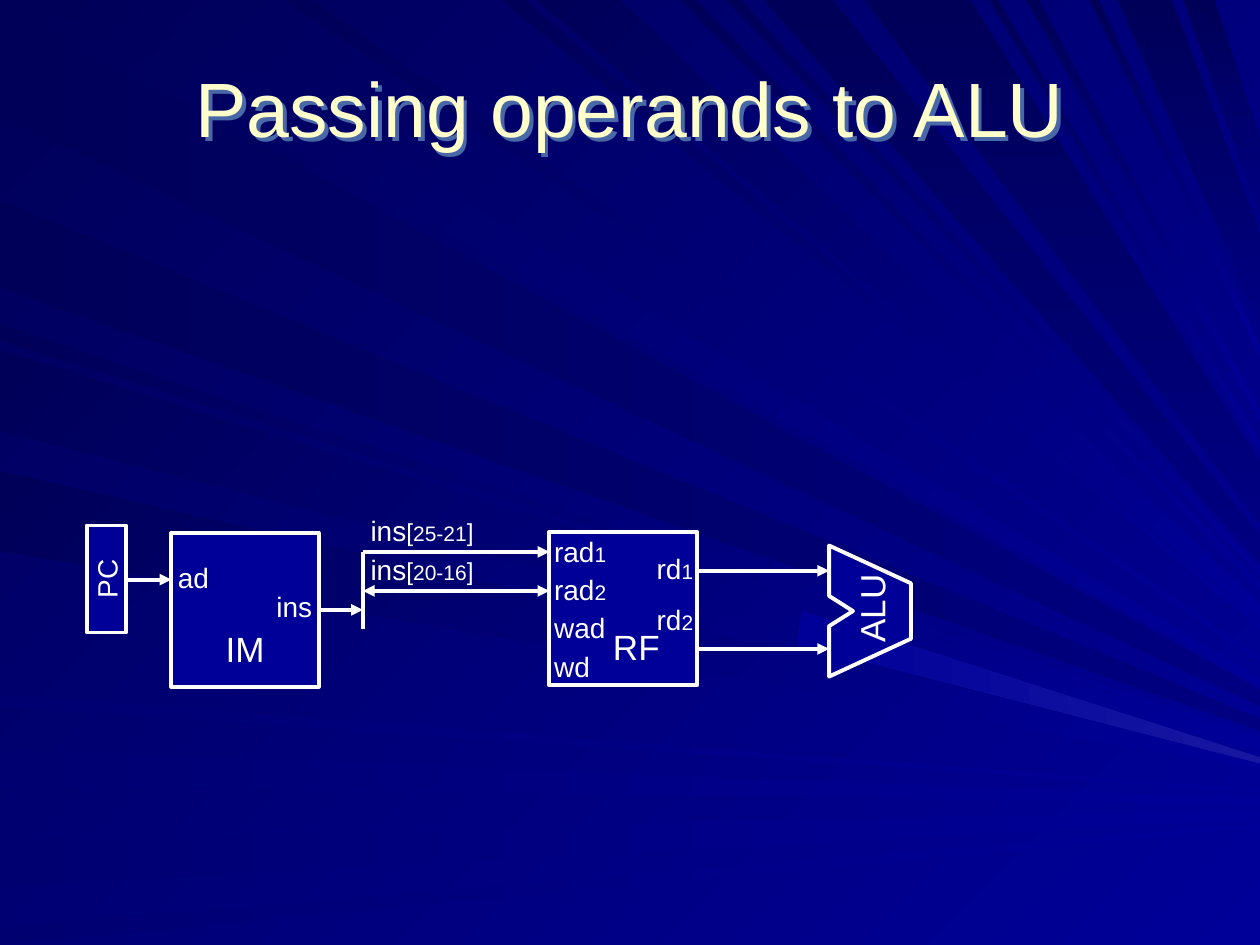
from lxml import etree
from pptx import Presentation
from pptx.dml.color import RGBColor
from pptx.enum.shapes import MSO_CONNECTOR, MSO_SHAPE
from pptx.enum.text import MSO_ANCHOR, PP_ALIGN
from pptx.oxml.ns import qn
from pptx.util import Inches, Pt

LEFT, CENTER, RIGHT = PP_ALIGN.LEFT, PP_ALIGN.CENTER, PP_ALIGN.RIGHT
TOP, MIDDLE, BOTTOM = MSO_ANCHOR.TOP, MSO_ANCHOR.MIDDLE, MSO_ANCHOR.BOTTOM
STRAIGHT, RECTANGLE = MSO_CONNECTOR.STRAIGHT, MSO_SHAPE.RECTANGLE
BOTTOM_SIDE, RIGHT_SIDE = 2, 3

WHITE = RGBColor(0xFF, 0xFF, 0xFF)
CREAM = RGBColor(0xFF, 0xFF, 0xCC)
BLUE = RGBColor(0x00, 0x00, 0x99)
NAVY = RGBColor(0x00, 0x00, 0x80)
DUSK = RGBColor(0x00, 0x00, 0x70)
NIGHT = RGBColor(0x00, 0x00, 0x58)
GLOW = RGBColor(0x17, 0x17, 0xA2)
TITLE_SHADOW = RGBColor(0x48, 0x68, 0xA8)
FONT = "Arial"
LINE_WIDTH = Pt(2.25)

SLIDE_WIDTH, SLIDE_HEIGHT = 10, 7.5
FOCUS_X, FOCUS_Y = 11.7, 6.4  # all background rays run towards this point
LEFTWARD, DIAGONAL, DOWNWARD = 180, 225, 90

# Rays as (from, to) along the left or the top edge of the slide
LEFT_NAVY_RAYS = [(0.02, 0.93), (1.59, 2.28)]
LEFT_BLUE_RAYS = [(2.58, 2.7), (2.78, 3.42), (3.74, 4.37)]
LOW_RAYS = [(5.52, 5.6), (5.96, 6.23), (6.65, 7.04), (7.35, 7.5)]
TOP_BLUE_RAYS = [(0.26, 1.01), (2.25, 2.47), (3.98, 4.16), (4.26, 4.92), (5.4, 5.52),
                 (5.77, 5.88), (7.85, 7.92), (8.15, 8.24), (8.65, 8.72)]
TOP_NAVY_RAYS = [(6.06, 6.61), (6.86, 7.7), (8.87, 9.3), (9.39, 9.64)]
GLOW_CORNERS = [(6.37, 4.85), (10, 6.01), (10, 6.06), (6.33, 5.11)]

BLOCK_SIZE = 1.17, 1.22
LABEL_HEIGHT = 0.37
RF_LEFT, RF_TOP = 4.36, 4.22
BUS_X = 2.88
ALU_LEFT, ALU_MIDDLE = 6.58, 4.85
ALU_HALF = [(0.65, 0.22), (0, 0.52), (0, 0.12)]  # offsets of the upper corners
ALU_NOTCH = 0.19
PORT_LEFT, PORT_TOP, PORT_STEP = 4.3, 4.19, 0.305


def set_gradient(fill, colours, angle):
    """Fill with two colours; the angle runs clockwise."""
    fill.gradient()
    fill.gradient_angle = 360 - angle
    for stop, colour in zip(fill.gradient_stops, colours):
        stop.color.rgb = colour


def set_outline(shape):
    shape.shadow.inherit = False
    shape.fill.solid()
    shape.fill.fore_color.rgb = BLUE
    shape.line.color.rgb = WHITE
    shape.line.width = LINE_WIDTH


def add_polygon(shapes, corners):
    points = [(Inches(x), Inches(y)) for x, y in corners]
    builder = shapes.build_freeform(*points[0])
    builder.add_line_segments(points[1:], close=True)
    return builder.convert_to_shape()


def ray_end(x, y):
    """Point where the line from an edge to the focus leaves the slide."""
    share = (SLIDE_WIDTH - x) / (FOCUS_X - x)
    return SLIDE_WIDTH, y + (FOCUS_Y - y) * share


def add_ray(shapes, corners, colours, angle):
    ray = add_polygon(shapes, corners)
    ray.shadow.inherit = False
    ray.line.fill.background()
    set_gradient(ray.fill, colours, angle)


def add_rays(slide):
    shapes = slide.shapes.add_group_shape().shapes
    families = [
        (LEFT_NAVY_RAYS, False, (NAVY, NIGHT), LEFTWARD),
        (LEFT_BLUE_RAYS, False, (BLUE, NIGHT), DIAGONAL),
        (LOW_RAYS, False, (BLUE, DUSK), LEFTWARD),
        (TOP_BLUE_RAYS, True, (BLUE, NIGHT), DIAGONAL),
        (TOP_NAVY_RAYS, True, (NIGHT, NAVY), DOWNWARD),
    ]
    for spans, from_top, colours, angle in families:
        for span in spans:
            first, last = [(place, 0) if from_top else (0, place) for place in span]
            add_ray(shapes, [first, last, ray_end(*last), ray_end(*first)], colours, angle)
    add_ray(shapes, GLOW_CORNERS, (GLOW, BLUE), LEFTWARD)


def write_text(shape, *runs, align=CENTER, anchor=TOP, colour=WHITE, wrap=True):
    """Write one paragraph from (text, size) runs."""
    frame = shape.text_frame
    frame.word_wrap = wrap
    frame.vertical_anchor = anchor
    paragraph = frame.paragraphs[0]
    paragraph.alignment = align
    for text, size in runs:
        run = paragraph.add_run()
        run.text = text
        run.font.name = FONT
        run.font.size = Pt(size)
        run.font.color.rgb = colour


def add_label(slide, left, top, width, *runs, height=LABEL_HEIGHT, rotation=0, **text_format):
    box = slide.shapes.add_textbox(*map(Inches, (left, top, width, height)))
    box.rotation = rotation
    write_text(box, *runs, **text_format)


def add_block(slide, left, top, width, height, name, size, rotation=0, anchor=MIDDLE):
    block = slide.shapes.add_shape(RECTANGLE, *map(Inches, (left, top, width, height)))
    block.rotation = rotation
    set_outline(block)
    write_text(block, (name, size), anchor=anchor, wrap=anchor == BOTTOM)
    return block


def add_wire(slide, start, end, heads=("tailEnd",), source=None):
    """Draw a line; source is the (shape, side) that it leaves from."""
    wire = slide.shapes.add_connector(STRAIGHT, *map(Inches, start + end))
    if source:
        wire.begin_connect(*source)
        wire.begin_x, wire.begin_y = map(Inches, start)
    wire.line.color.rgb = WHITE
    wire.line.width = LINE_WIDTH
    line = wire.line._get_or_add_ln()
    for head in heads:
        etree.SubElement(line, qn(f"a:{head}"), type="triangle")
    etree.SubElement(wire._element.spPr, qn("a:effectLst"))


def add_title(slide, text):
    title = slide.shapes.title
    title.left, title.top, title.width, title.height = map(Inches, (0.5, 0.32, 9, 1.06))
    write_text(title, (text, 44), anchor=MIDDLE, colour=CREAM)
    effects = etree.SubElement(title._element.spPr, qn("a:effectLst"))
    shadow = etree.SubElement(effects, qn("a:outerShdw"), dist=str(Pt(3.2)), dir="2700000")
    etree.SubElement(shadow, qn("a:srgbClr"), val=str(TITLE_SHADOW))
    title._element.getparent().append(title._element)  # in front of the rays


def add_alu(slide):
    upper = [(ALU_LEFT + x, ALU_MIDDLE - y) for x, y in ALU_HALF]
    lower = [(ALU_LEFT + x, ALU_MIDDLE + y) for x, y in reversed(ALU_HALF)]
    notch = (ALU_LEFT + ALU_NOTCH, ALU_MIDDLE)
    set_outline(add_polygon(slide.shapes, upper + [notch] + lower))
    add_label(slide, 6.39, 4.61, 1.06, ("ALU", 20), height=0.44, rotation=270)


def add_blocks(slide):
    counter = add_block(slide, 0.42, 4.44, 0.85, 0.31, "PC", 16, rotation=270)
    memory = add_block(slide, 1.36, 4.23, *BLOCK_SIZE, "IM", 20, anchor=BOTTOM)
    registers = add_block(slide, RF_LEFT, RF_TOP, *BLOCK_SIZE, "RF", 20, anchor=BOTTOM)
    for block in (memory, registers):
        block.text_frame.margin_bottom = Inches(0.14)
    registers.text_frame.margin_left = Inches(0.31)
    return counter, memory


def add_port_labels(slide):
    add_label(slide, 1.09, 4.4, 0.89, ("ad", 16))
    add_label(slide, 2.06, 4.63, 0.55, ("ins", 16))
    for row, (name, number) in enumerate([("rad", "1"), ("rad", "2"), ("wad", ""), ("wd", "")]):
        runs = [(name, 16)] + ([(number, 12)] if number else [])
        add_label(slide, PORT_LEFT, PORT_TOP + row * PORT_STEP, 0.82, *runs, align=LEFT)
    for number, top in (("1", 4.33), ("2", 4.73)):
        add_label(slide, 4.92, top, 0.68, ("rd", 16), (number, 12), align=RIGHT)


def add_wires(slide, counter, memory):
    add_wire(slide, (1, 4.6), (1.36, 4.6), source=(counter, BOTTOM_SIDE))
    add_wire(slide, (2.53, 4.84), (BUS_X, 4.84), source=(memory, RIGHT_SIDE))
    add_wire(slide, (BUS_X, 4.38), (BUS_X, 4.99), heads=())
    fields = [("25-21", 4.38, ("tailEnd",)), ("20-16", 4.69, ("headEnd", "tailEnd"))]
    for bits, y, heads in fields:
        add_wire(slide, (BUS_X, y), (RF_LEFT, y), heads=heads)
        add_label(slide, 2.84, y - 0.35, 1.02, ("ins", 16), ("[", 14), (bits, 12), ("]", 14),
                  wrap=False)
    for y in (4.53, 5.15):
        add_wire(slide, (RF_LEFT + BLOCK_SIZE[0], y), (ALU_LEFT, y))


def main():
    presentation = Presentation()
    presentation.slide_width = Inches(SLIDE_WIDTH)
    presentation.slide_height = Inches(SLIDE_HEIGHT)
    slide = presentation.slides.add_slide(presentation.slide_layouts[5])
    set_gradient(slide.background.fill, (BLUE, NIGHT), DIAGONAL)
    add_rays(slide)
    add_title(slide, "Passing operands to ALU")
    counter, memory = add_blocks(slide)
    add_alu(slide)
    add_port_labels(slide)
    add_wires(slide, counter, memory)
    presentation.save("out.pptx")


if __name__ == "__main__":
    main()
